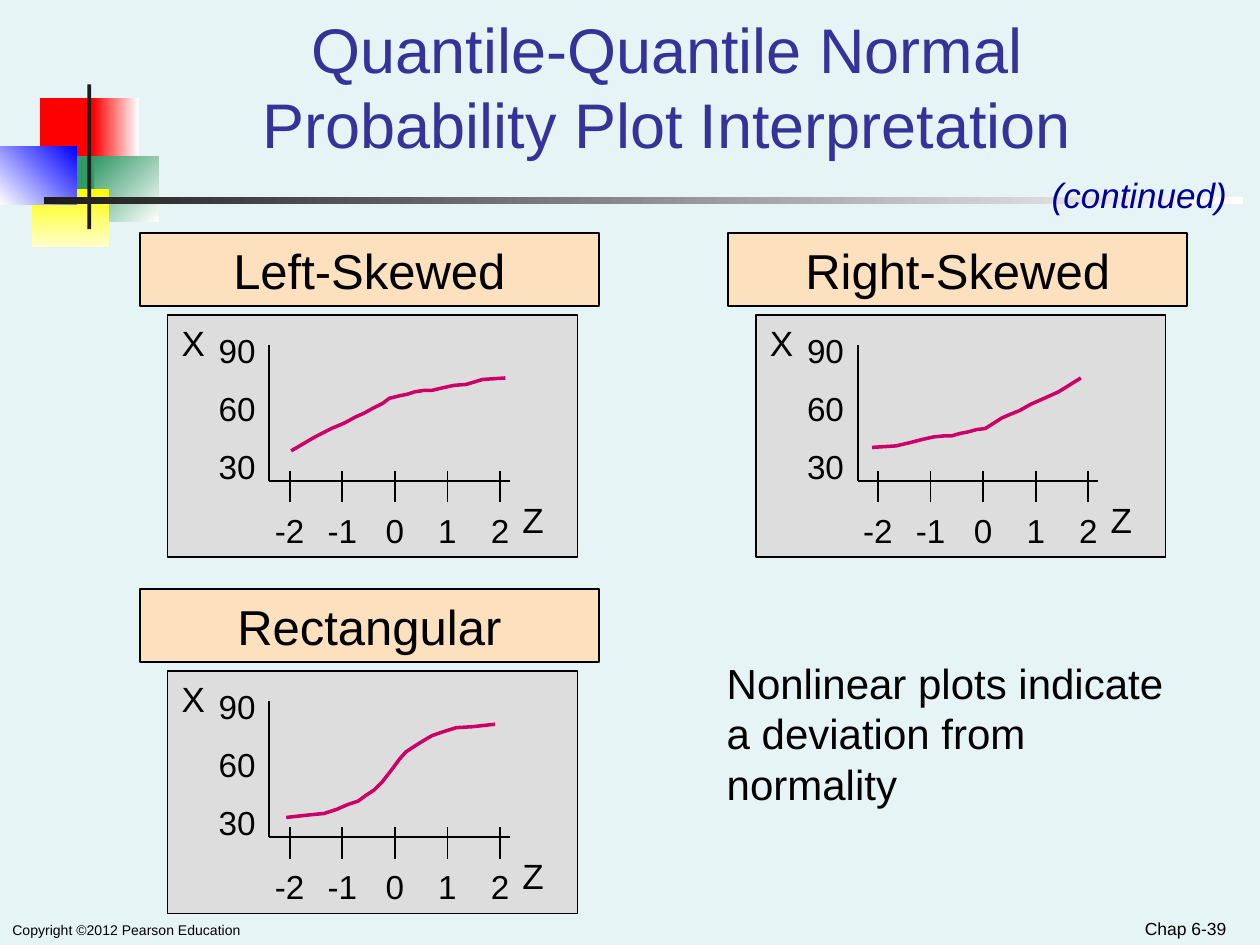
from lxml.etree import SubElement
from pptx import Presentation
from pptx.dml.color import RGBColor
from pptx.enum.shapes import MSO_CONNECTOR, MSO_SHAPE
from pptx.enum.text import MSO_ANCHOR, MSO_AUTO_SIZE, PP_ALIGN
from pptx.oxml.ns import qn
from pptx.util import Cm, Pt

BACKGROUND = RGBColor(0xE7, 0xF4, 0xF5)
TITLE_BLUE = RGBColor(0x33, 0x33, 0x99)
NOTE_BLUE = RGBColor(0x00, 0x00, 0x99)
BLACK = RGBColor(0x00, 0x00, 0x00)
WHITE = RGBColor(0xFF, 0xFF, 0xFF)
CHARCOAL = RGBColor(0x1C, 0x1C, 0x1C)
PEACH = RGBColor(0xFD, 0xE0, 0xBD)
GRAY = RGBColor(0xDD, 0xDD, 0xDD)
MAGENTA = RGBColor(0xCC, 0x00, 0x66)
RED = RGBColor(0xFF, 0x00, 0x00)
GREEN = RGBColor(0x33, 0x99, 0x66)
YELLOW = RGBColor(0xFF, 0xFF, 0x00)
PALE_YELLOW = RGBColor(0xFF, 0xFF, 0xCC)
BLUE = RGBColor(0x00, 0x00, 0xFF)

FONT = "Arial"
CARD_WIDTH = 9.25

LEFT_SKEWED_CURVE = [
    (2.49, 2.74), (2.97, 2.46), (3.3, 2.29), (3.56, 2.18), (3.78, 2.06),
    (3.96, 1.98), (4.14, 1.88), (4.34, 1.78), (4.47, 1.68), (4.67, 1.63),
    (4.83, 1.6), (4.98, 1.55), (5.18, 1.52), (5.33, 1.52), (5.54, 1.47),
    (5.77, 1.42), (6.02, 1.4), (6.35, 1.3), (6.81, 1.27),
]
RIGHT_SKEWED_CURVE = [
    (2.34, 2.67), (2.82, 2.64), (3.12, 2.57), (3.35, 2.51), (3.58, 2.46),
    (3.78, 2.44), (3.94, 2.44), (4.11, 2.39), (4.27, 2.36), (4.45, 2.31),
    (4.62, 2.29), (4.75, 2.21), (4.95, 2.08), (5.11, 2.01), (5.31, 1.93),
    (5.54, 1.8), (5.77, 1.7), (6.1, 1.55), (6.55, 1.27),
]
RECTANGULAR_CURVE = [
    (2.39, 2.95), (2.84, 2.9), (3.15, 2.87), (3.4, 2.79), (3.63, 2.69),
    (3.84, 2.62), (3.99, 2.51), (4.17, 2.39), (4.32, 2.24), (4.5, 2.01),
    (4.67, 1.78), (4.8, 1.63), (5.0, 1.5), (5.16, 1.4), (5.33, 1.3),
    (5.56, 1.22), (5.82, 1.14), (6.15, 1.12), (6.6, 1.07),
]
CARDS = [
    ("Left-Skewed", 2.82, 4.7, LEFT_SKEWED_CURVE),
    ("Right-Skewed", 14.68, 4.7, RIGHT_SKEWED_CURVE),
    ("Rectangular", 2.82, 11.88, RECTANGULAR_CURVE),
]


def format_text(shape, text, size, color=BLACK, alignment=PP_ALIGN.LEFT,
                anchor=MSO_ANCHOR.TOP, wrap=True, italic=False):
    """Fill a shape with one formatted paragraph."""
    frame = shape.text_frame
    frame.text = text
    frame.word_wrap = wrap
    frame.auto_size = MSO_AUTO_SIZE.NONE
    frame.vertical_anchor = anchor
    paragraph = frame.paragraphs[0]
    paragraph.alignment = alignment
    font = paragraph.font
    font.name, font.size, font.italic = FONT, Pt(size), italic
    font.color.rgb = color


def add_text(slide, box, text, size, **options):
    """Add a text box at box, given in centimetres."""
    shape = slide.shapes.add_textbox(*map(Cm, box))
    format_text(shape, text, size, **options)


def add_rectangle(shapes, box, fill, line_width=None):
    """Add a plain rectangle, outlined in black when a line width is given."""
    shape = shapes.add_shape(MSO_SHAPE.RECTANGLE, *map(Cm, box))
    shape.shadow.inherit = False
    shape.fill.solid()
    shape.fill.fore_color.rgb = fill
    if line_width is None:
        shape.line.fill.background()
    else:
        shape.line.color.rgb = BLACK
        shape.line.width = Pt(line_width)
    return shape


def add_gradient(shapes, box, start, end, angle):
    """Add a rectangle that fades from start to end at a clockwise angle."""
    shape = add_rectangle(shapes, box, start)
    shape.fill.gradient()
    shape.fill.gradient_angle = (360 - angle) % 360
    for stop, color in zip(shape.fill.gradient_stops, (start, end)):
        stop.color.rgb = color


def add_line(slide, x1, y1, x2, y2):
    """Add a thin black straight line."""
    connector = slide.shapes.add_connector(MSO_CONNECTOR.STRAIGHT, *map(Cm, (x1, y1, x2, y2)))
    connector.line.color.rgb = BLACK
    connector.line.width = Pt(1)
    SubElement(connector._element.spPr, qn("a:effectLst"))


def add_decoration(slide, left, top):
    """Draw the coloured blocks and the crossing bars beside the title."""
    shapes = slide.shapes.add_group_shape().shapes
    add_rectangle(shapes, (left + 0.81, top + 0.28, 1.22, 1.32), RED)
    add_gradient(shapes, (left + 1.88, top + 0.28, 0.91, 1.32), RED, WHITE, 0)
    add_gradient(shapes, (left + 1.9, top + 1.45, 1.3, 1.32), GREEN, WHITE, 45)
    add_rectangle(shapes, (left + 1.09, top + 1.45, 0.81, 1.32), GREEN)
    add_gradient(shapes, (left + 0.64, top + 2.11, 1.55, 1.17), YELLOW, PALE_YELLOW, 90)
    add_gradient(shapes, (left, top + 1.25, 1.55, 1.17), WHITE, BLUE, 315)
    add_rectangle(shapes, (left + 1.76, top, 0.08, 2.92), CHARCOAL)
    add_gradient(shapes, (left + 0.89, top + 2.27, 24.16, 0.14), CHARCOAL, WHITE, 0)


def add_curve(slide, left, top, points):
    """Draw an open curve through points measured from left and top."""
    vertices = [(Cm(left + x), Cm(top + y)) for x, y in points]
    builder = slide.shapes.build_freeform(*vertices[0])
    builder.add_line_segments(vertices[1:], close=False)
    curve = builder.convert_to_shape()
    curve.shadow.inherit = False
    curve.fill.background()
    curve.line.color.rgb = MAGENTA
    curve.line.width = Pt(2)


def add_plot(slide, left, top, points):
    """Draw a gray plot panel with axes, ticks, labels and its curve."""
    add_rectangle(slide.shapes, (left, top, 8.26, 4.88), GRAY, 0.75)
    axis_x, axis_y, axis_length = left + 2.05, top + 3.35, 4.85
    add_line(slide, axis_x, axis_y, axis_x + axis_length, axis_y)
    add_line(slide, axis_x, axis_y, axis_x, top + 0.61)
    for index, value in enumerate(("90", "60", "30")):
        box = (axis_x - 1.27, top + 0.18 + 1.17 * index, 1.24, 1.04)
        add_text(slide, box, value, 19, wrap=False)
    for index, value in enumerate(("-2", "-1", "0", "1", "2")):
        tick_x = axis_x + 0.41 + 1.06 * index
        add_line(slide, tick_x, top + 3.78, tick_x, top + 3.15)
        add_text(slide, (tick_x - 0.55, top + 3.81, 1.1, 1.04), value, 19,
                 alignment=PP_ALIGN.CENTER, wrap=False)
    add_text(slide, (left + 0.03, top, 0.97, 1.09), "X", 20, wrap=False)
    add_text(slide, (axis_x + axis_length, top + 3.58, 0.94, 1.09), "Z", 20, wrap=False)
    add_curve(slide, left, top, points)


def add_card(slide, heading, left, top, points):
    """Place a heading bar with its plot underneath."""
    bar = add_rectangle(slide.shapes, (left, top, CARD_WIDTH, 1.47), PEACH, 1)
    format_text(bar, heading, 28, alignment=PP_ALIGN.CENTER, anchor=MSO_ANCHOR.MIDDLE)
    add_plot(slide, left + 0.56, top + 1.65, points)


def add_title(slide, left, top, width, height):
    """Move and format the title placeholder."""
    title = slide.shapes.title
    title.left, title.top, title.width, title.height = map(Cm, (left, top, width, height))
    format_text(title, "Quantile-Quantile Normal Probability Plot Interpretation", 36,
                color=TITLE_BLUE, alignment=PP_ALIGN.CENTER, anchor=MSO_ANCHOR.BOTTOM)


def add_footer(slide, top, height):
    """Write the copyright line and the page number."""
    add_text(slide, (0, top, 16.31, height), "Copyright ©2012 Pearson Education", 8,
             anchor=MSO_ANCHOR.BOTTOM)
    add_text(slide, (19.05, top, 5.92, height), "Chap 6-39", 10,
             alignment=PP_ALIGN.RIGHT, anchor=MSO_ANCHOR.BOTTOM)


def main():
    """Build the slide and save the presentation."""
    presentation = Presentation()
    presentation.slide_width, presentation.slide_height = Cm(25.4), Cm(19.05)
    slide = presentation.slides.add_slide(presentation.slide_layouts[5])
    slide.background.fill.solid()
    slide.background.fill.fore_color.rgb = BACKGROUND
    add_decoration(slide, 0, 1.7)
    add_title(slide, 3.2, 0.64, 20.5, 2.74)
    add_footer(slide, 18.16, 0.89)
    for card in CARDS:
        add_card(slide, *card)
    add_text(slide, (20.95, 3.38, 4.45, 1.09), "(continued)", 20, color=NOTE_BLUE, italic=True)
    add_text(slide, (14.4, 13.13, 9.32, 3.3),
             "Nonlinear plots indicate a deviation from normality", 24)
    presentation.save("out.pptx")


if __name__ == "__main__":
    main()
